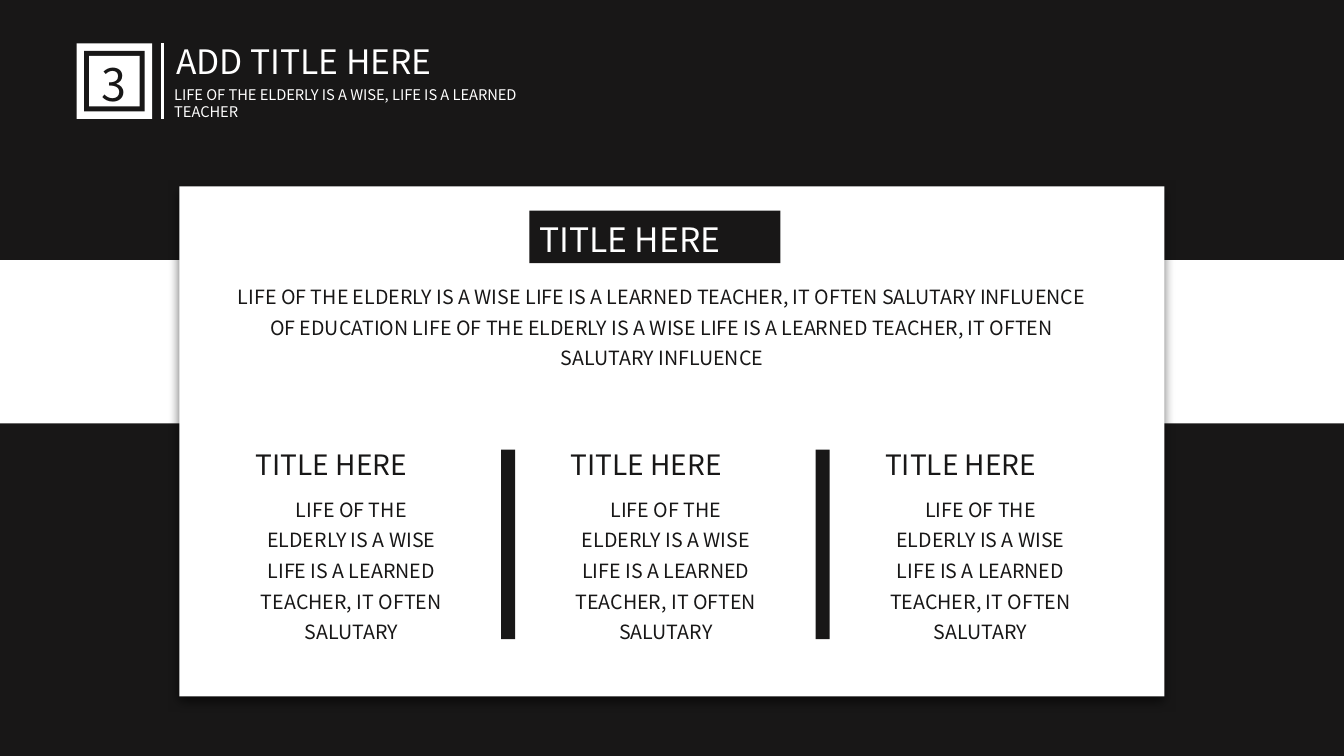
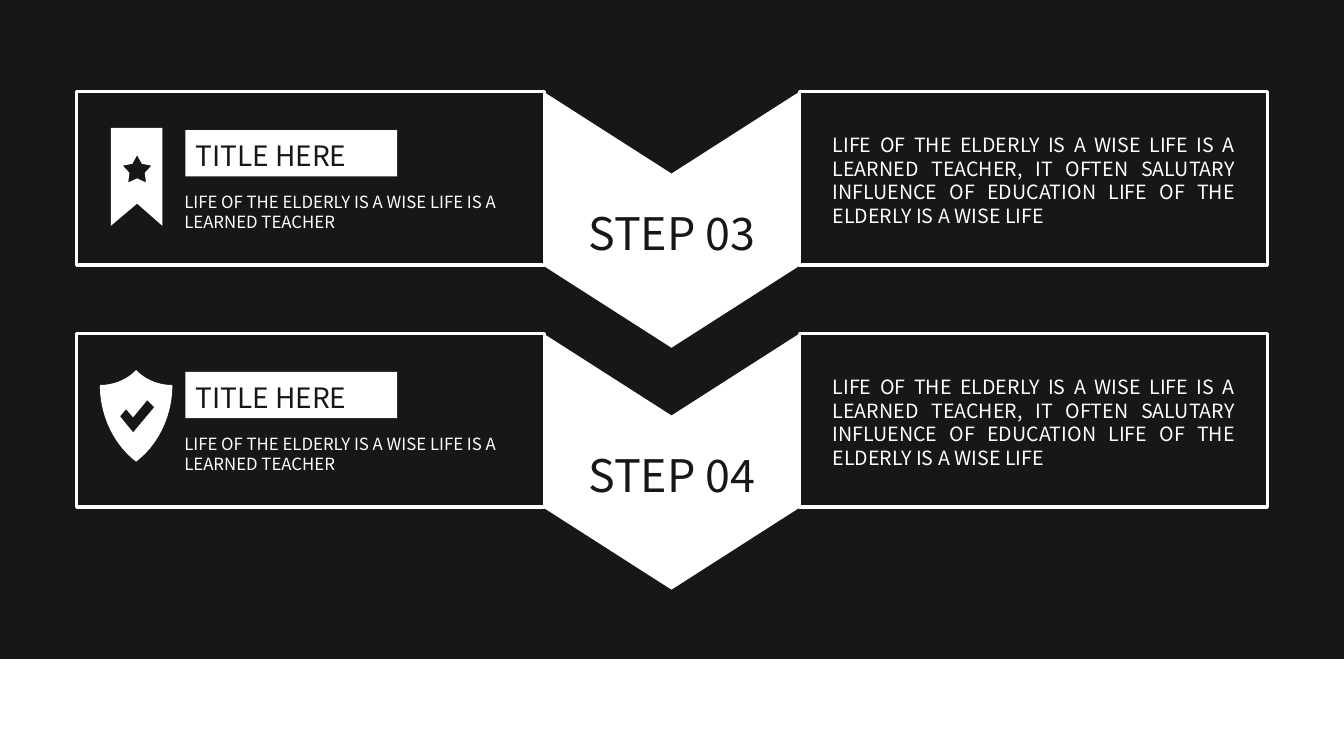
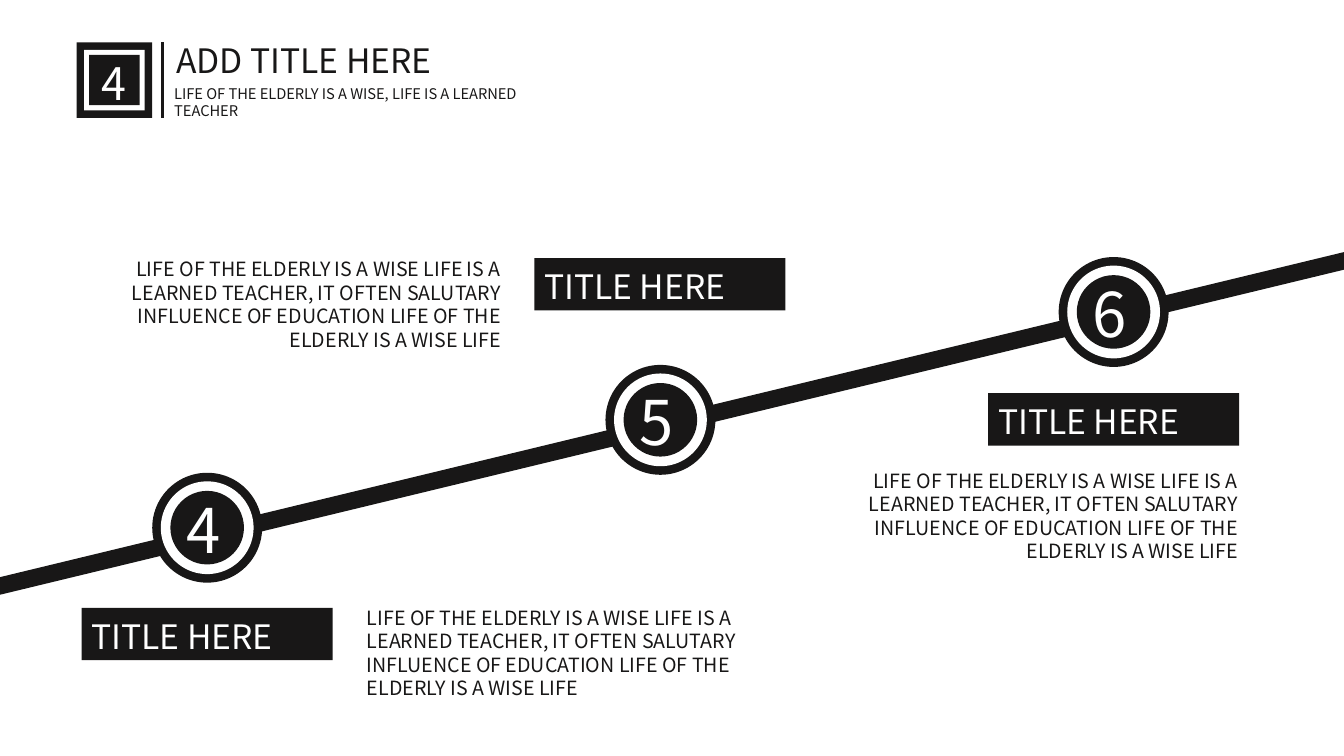
from math import cos, pi, sin

from lxml import etree
from pptx import Presentation
from pptx.dml.color import RGBColor
from pptx.enum.shapes import MSO_CONNECTOR, MSO_SHAPE
from pptx.enum.text import MSO_ANCHOR, MSO_AUTO_SIZE, PP_ALIGN
from pptx.oxml import parse_xml
from pptx.oxml.ns import nsdecls, qn
from pptx.util import Inches, Pt

# Shared style
INK = RGBColor(0x18, 0x17, 0x17)
WHITE = RGBColor(0xFF, 0xFF, 0xFF)
FONT = "Noto Sans CJK SC"
LEFT, CENTER, RIGHT, JUSTIFY = (
    PP_ALIGN.LEFT, PP_ALIGN.CENTER, PP_ALIGN.RIGHT, PP_ALIGN.JUSTIFY)
TOP = MSO_ANCHOR.TOP
GROW = MSO_AUTO_SIZE.SHAPE_TO_FIT_TEXT
RECT, OVAL, CHEVRON = MSO_SHAPE.RECTANGLE, MSO_SHAPE.OVAL, MSO_SHAPE.CHEVRON
STRAIGHT = MSO_CONNECTOR.STRAIGHT
SLIDE_W, SLIDE_H = 13.33, 7.5

# Shared wording
TITLE = "TITLE HERE"
SENTENCE = "LIFE OF THE ELDERLY IS A WISE LIFE IS A LEARNED TEACHER"
COLUMN_TEXT = SENTENCE + ", IT OFTEN SALUTARY"
INFLUENCE = COLUMN_TEXT + " INFLUENCE"
PARAGRAPH = INFLUENCE + " OF EDUCATION LIFE OF THE ELDERLY IS A WISE LIFE"
INTRO = INFLUENCE + " OF EDUCATION " + INFLUENCE


def box(*lengths):
    return [Inches(length) for length in lengths]


def new_slide(prs, color):
    slide = prs.slides.add_slide(prs.slide_layouts[6])
    slide.background.fill.solid()
    slide.background.fill.fore_color.rgb = color
    return slide


def paint(shape, color):
    shape.shadow.inherit = False
    shape.fill.solid()
    shape.fill.fore_color.rgb = color
    shape.line.fill.background()
    return shape


def filled(slide, kind, at, color):
    return paint(slide.shapes.add_shape(kind, *box(*at)), color)


def write(frame, text, size, color, align=LEFT, spacing=None):
    frame.word_wrap = True
    frame.vertical_anchor = TOP
    paragraph = frame.paragraphs[0]
    paragraph.alignment = align
    if spacing:
        paragraph.line_spacing = spacing
    run = paragraph.add_run()
    run.text = text
    run.font.name = FONT
    run.font.size = Pt(size)
    run.font.color.rgb = color


def label(slide, at, text, size, color, align=LEFT, spacing=None):
    frame = slide.shapes.add_textbox(*box(*at)).text_frame
    write(frame, text, size, color, align, spacing)
    frame.auto_size = GROW


def title_tag(slide, left, top, width=2.49, height=0.52, size=24,
              fill=INK, color=WHITE):
    tag = filled(slide, RECT, (left, top, width, height), fill)
    tag.text_frame.margin_top = Inches(0.08)
    write(tag.text_frame, TITLE, size, color)


def nested(slide, kind, left, top, sizes, colors):
    """Concentric shapes, the first one filling the given place."""
    for size, color in zip(sizes, colors):
        inset = (sizes[0] - size) / 2
        filled(slide, kind, (left + inset, top + inset, size, size), color)


def header(slide, left, top, number, color, paper):
    nested(slide, RECT, left, top, (0.75, 0.6, 0.5), (color, paper, color))
    label(slide, (left + 0.09, top + 0.08, 0.57, 0.64), number, 32, paper, CENTER)
    label(slide, (left + 0.89, top - 0.07, 3.41, 0.5), "ADD TITLE HERE", 24, color)
    label(slide, (left + 0.87, top + 0.37, 3.97, 0.45),
          "LIFE OF THE ELDERLY IS A WISE, LIFE IS A LEARNED TEACHER", 10.5, color)
    x = left + 0.85
    divider = slide.shapes.add_connector(STRAIGHT, *box(x, top, x, top + 0.75))
    divider.line.color.rgb = color
    divider.line.width = Pt(2.25)
    properties = divider.element.find(qn("p:spPr"))
    etree.SubElement(properties, qn("a:effectLst"))


# Slide with a card of three columns
def shadowed_card(slide, at):
    card = filled(slide, RECT, at, WHITE)
    effects = card.element.find(qn("p:spPr")).find(qn("a:effectLst"))
    effects.append(parse_xml(
        f'<a:outerShdw {nsdecls("a")} blurRad="{Pt(8)}" dist="{Pt(4)}" '
        'dir="5400000" algn="t" rotWithShape="0"><a:srgbClr val="000000">'
        '<a:alpha val="60000"/></a:srgbClr></a:outerShdw>'))


def card_column(slide, left, top):
    label(slide, (left + 0.01, top, 2.09, 0.44), TITLE, 20, INK)
    label(slide, (left, top + 0.43, 2.11, 1.63), COLUMN_TEXT, 14, INK, CENTER, 1.3)


def card_slide(prs):
    slide = new_slide(prs, INK)
    filled(slide, RECT, (0, 2.58, SLIDE_W, 1.62), WHITE)
    left, top = 1.78, 1.85
    shadowed_card(slide, (left, top, 9.77, 5.06))
    header(slide, 0.76, 0.43, "3", WHITE, INK)
    title_tag(slide, left + 3.47, top + 0.24)
    label(slide, (left + 0.44, top + 0.86, 8.69, 1.02), INTRO, 14, INK, CENTER, 1.3)
    for column in range(3):
        column_left = left + 0.65 + 3.12 * column
        card_column(slide, column_left, top + 2.54)
        if column:
            filled(slide, RECT, (column_left - 0.58, top + 2.61, 0.14, 1.88), INK)


# Slide with two steps
def outline(slide, left, top, contours):
    """One filled shape; contours after the first are cut out of it."""
    placed = [[(Inches(left + x), Inches(top + y)) for x, y in contour]
              for contour in contours]
    builder = slide.shapes.build_freeform(*placed[0][0])
    for index, points in enumerate(placed):
        if index:
            builder.move_to(*points[0])
        builder.add_line_segments(points[1:], close=True)
    paint(builder.convert_to_shape(), WHITE)


def curve(p0, p1, p2, p3, steps=12):
    points = []
    for step in range(steps + 1):
        t = step / steps
        weights = ((1 - t) ** 3, 3 * t * (1 - t) ** 2, 3 * t * t * (1 - t), t ** 3)
        points.append(tuple(sum(w * p[axis] for w, p in zip(weights, (p0, p1, p2, p3)))
                            for axis in (0, 1)))
    return points


def ribbon_icon(slide, left, top):
    ribbon = [(0, 0), (0, 0.97), (0.26, 0.75), (0.51, 0.97), (0.51, 0)]
    star = []
    for corner in range(10):
        radius = 0.08 if corner % 2 else 0.15
        angle = corner * pi / 5
        star.append((0.26 - radius * sin(angle), 0.42 - radius * cos(angle)))
    outline(slide, left + 0.34, top + 0.36, [ribbon, star])


def shield_icon(slide, left, top):
    half = (curve((0.36, 0), (0.26, 0.11), (0.11, 0.15), (0, 0.15))
            + curve((0, 0.15), (0, 0.48), (0.16, 0.76), (0.36, 0.91))[1:])
    shield = half + [(0.72 - x, y) for x, y in half[-2:0:-1]]
    check = [(0.33, 0.62), (0.2, 0.46), (0.26, 0.39),
             (0.33, 0.47), (0.47, 0.3), (0.54, 0.37)]
    outline(slide, left + 0.23, top + 0.36, [shield, check])


def step_panel(slide, left, top):
    panel = slide.shapes.add_shape(RECT, *box(left, top, 4.64, 1.72))
    panel.shadow.inherit = False
    panel.fill.background()
    panel.line.color.rgb = WHITE
    panel.line.width = Pt(2.25)


def step_row(slide, left, top, name, icon):
    arrow = filled(slide, CHEVRON, (left + 4.63, top, 2.54, 2.54), WHITE)
    arrow.rotation = 90
    arrow.adjustments[0] = 0.32
    label(slide, (left + 4.76, top + 1.08, 2.29, 0.64), name, 32, INK, CENTER)
    detail_left = left + 7.17
    for panel_left in (left, detail_left):
        step_panel(slide, panel_left, top)
    icon(slide, left, top)
    title_tag(slide, left + 1.08, top + 0.38, 2.1, 0.46, 20, WHITE, INK)
    label(slide, (left + 0.97, top + 0.94, 3.53, 0.5), SENTENCE, 12, WHITE)
    label(slide, (detail_left + 0.23, top + 0.36, 4.19, 1.04),
          PARAGRAPH, 14, WHITE, JUSTIFY)


def steps_slide(prs):
    slide = new_slide(prs, INK)
    steps = (("STEP 03", ribbon_icon), ("STEP 04", shield_icon))
    for row, (name, icon) in enumerate(steps):
        step_row(slide, 0.76, 0.91 + 2.4 * row, name, icon)
    filled(slide, RECT, (0, 6.54, SLIDE_W, 0.96), WHITE)


# Slide with a rising line of milestones
def milestone(slide, left, top, number):
    nested(slide, OVAL, left, top, (1.09, 0.92, 0.73), (INK, WHITE, INK))
    label(slide, (left + 0.24, top + 0.14, 0.61, 0.84), number, 44, WHITE)


def timeline_slide(prs):
    slide = new_slide(prs, WHITE)
    header(slide, 0.76, 0.42, "4", INK, WHITE)
    rising_line = filled(slide, RECT, (-0.43, 4.08, 14.49, 0.17), INK)
    rising_line.rotation = -13.6
    # Number, place of the title, place and alignment of the text
    milestones = (
        ("4", (0.81, 6.03), (3.54, 5.96), LEFT),
        ("5", (5.3, 2.56), (0.44, 2.5), RIGHT),
        ("6", (9.8, 3.9), (7.75, 4.6), RIGHT),
    )
    for index, (number, title_at, text_at, align) in enumerate(milestones):
        milestone(slide, 1.51 + 4.495 * index, 4.69 - 1.07 * index, number)
        title_tag(slide, *title_at)
        label(slide, (*text_at, 4.63, 1.04), PARAGRAPH, 14, INK, align)


def main():
    prs = Presentation()
    prs.slide_width, prs.slide_height = box(SLIDE_W, SLIDE_H)
    card_slide(prs)
    steps_slide(prs)
    timeline_slide(prs)
    prs.save("out.pptx")


if __name__ == "__main__":
    main()
